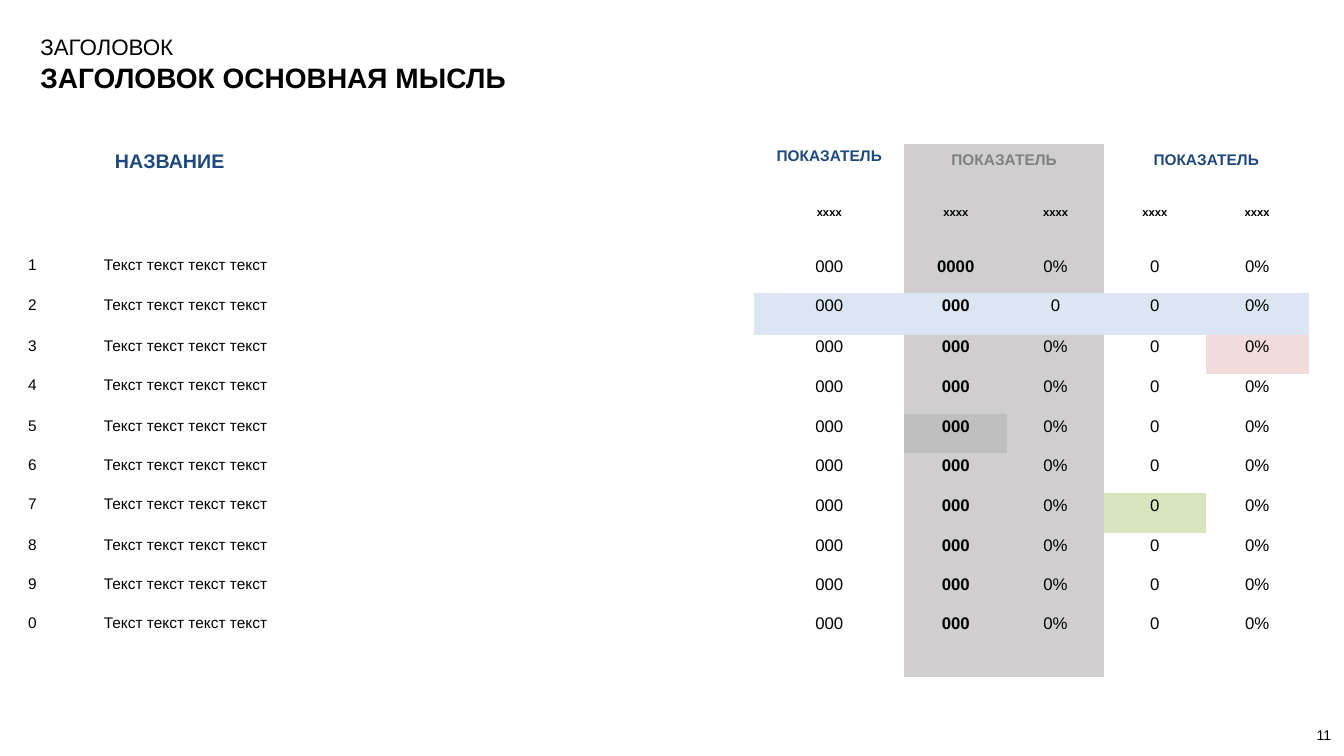
import dataclasses
import typing

import pptx
import pptx.dml.color
import pptx.enum.text
import pptx.oxml.ns
import pptx.util

RGBColor = pptx.dml.color.RGBColor
BLACK = RGBColor(0x00, 0x00, 0x00)
NAVY = RGBColor(0x1F, 0x49, 0x7D)
GRAY = RGBColor(0x80, 0x80, 0x80)
BAND = RGBColor(0xD0, 0xCE, 0xCE)
DARK_BAND = RGBColor(0xBF, 0xBF, 0xBF)
PALE_BLUE = RGBColor(0xDC, 0xE6, 0xF2)
PALE_RED = RGBColor(0xF2, 0xDC, 0xDB)
PALE_GREEN = RGBColor(0xD7, 0xE4, 0xBD)

EMU_PER_PX = 9144  # 100 px to the inch
FONT = "Arial"
PLAIN_TABLE_STYLE = "{2D5ABB26-0587-4C30-8999-92F81FD0307C}"
LEFT = pptx.enum.text.PP_ALIGN.LEFT
CENTER = pptx.enum.text.PP_ALIGN.CENTER

COLUMN_WIDTHS = (75, 648, 149, 102, 96, 101, 102)
ROW_HEIGHTS = (59, 50, 39, 41, 39, 40, 39, 39, 40, 39, 39, 65)
HEADER_ROWS = 2
FIRST_VALUE_COLUMN = 2
BAND_COLUMNS = (3, 4)
HIGHLIGHTED_ROW = 3
HIGHLIGHTED_CELLS = {(4, 6): PALE_RED, (6, 3): DARK_BAND, (8, 5): PALE_GREEN}

ROW_LABELS = "1234567890"
ROW_NAME = "Текст текст текст текст"
USUAL_VALUES = ("000", "000", "0%", "0", "0%")
SPECIAL_VALUES = {"1": ("000", "0000", "0%", "0", "0%"),
                  "2": ("000", "000", "0", "0", "0%")}


@dataclasses.dataclass(frozen=True)
class TextStyle:
    size: int
    bold: bool = False
    color: RGBColor = BLACK
    align: pptx.enum.text.PP_ALIGN = LEFT


@dataclasses.dataclass(frozen=True)
class Heading:
    text: str
    column: int
    style: TextStyle
    rows: int = 1
    columns: int = 1
    margins: tuple[int, int] = (14, 7)


HEADINGS = (
    Heading("", 0, TextStyle(14), rows=2),
    Heading("НАЗВАНИЕ", 1, TextStyle(14, True, NAVY), rows=2),
    Heading("ПОКАЗАТЕЛЬ", 2, TextStyle(11, True, NAVY, CENTER), margins=(3, 3)),
    Heading("ПОКАЗАТЕЛЬ", 3, TextStyle(11, True, GRAY, CENTER), columns=2),
    Heading("ПОКАЗАТЕЛЬ", 5, TextStyle(11, True, NAVY, CENTER), columns=2),
)
UNIT = TextStyle(8, True, align=CENTER)
LABEL = TextStyle(11)
VALUE = TextStyle(12, align=CENTER)
KEY_VALUE = TextStyle(12, True, align=CENTER)


def px(length: int) -> pptx.util.Emu:
    return pptx.util.Emu(length * EMU_PER_PX)


def place(shape: typing.Any, left: int, top: int, width: int, height: int) -> None:
    shape.left, shape.top = px(left), px(top)
    shape.width, shape.height = px(width), px(height)


def set_margins(holder: typing.Any, side: int, edge: int) -> None:
    holder.margin_left = holder.margin_right = px(side)
    holder.margin_top = holder.margin_bottom = px(edge)


def write(paragraph: typing.Any, text: str, style: TextStyle) -> None:
    paragraph.alignment = style.align
    run = paragraph.add_run()
    run.text = text
    run.font.name = FONT
    run.font.size = pptx.util.Pt(style.size)
    run.font.bold = style.bold
    run.font.color.rgb = style.color


def write_cell(cell: typing.Any, text: str, style: TextStyle,
               margins: tuple[int, int] = (3, 3)) -> None:
    set_margins(cell, *margins)
    if text:
        write(cell.text_frame.paragraphs[0], text, style)


def cell_color(row: int, column: int) -> RGBColor | None:
    if (row, column) in HIGHLIGHTED_CELLS:
        return HIGHLIGHTED_CELLS[row, column]
    if row == HIGHLIGHTED_ROW and column >= FIRST_VALUE_COLUMN:
        return PALE_BLUE
    return BAND if column in BAND_COLUMNS else None


def add_title(slide: typing.Any) -> None:
    title = slide.shapes.title
    place(title, 30, 23, 628, 81)
    frame = title.text_frame
    frame.word_wrap = True
    frame.auto_size = pptx.enum.text.MSO_AUTO_SIZE.NONE
    frame.vertical_anchor = pptx.enum.text.MSO_ANCHOR.TOP
    set_margins(frame, 10, 10)
    write(frame.paragraphs[0], "ЗАГОЛОВОК", TextStyle(16))
    write(frame.add_paragraph(), "ЗАГОЛОВОК ОСНОВНАЯ МЫСЛЬ", TextStyle(20, True))


def add_page_number(slide: typing.Any) -> None:
    page_number = slide.shapes.add_textbox(px(1298), px(709), px(34), px(41))
    frame = page_number.text_frame
    frame.word_wrap = True
    frame.vertical_anchor = pptx.enum.text.MSO_ANCHOR.MIDDLE
    set_margins(frame, 8, 4)
    write(frame.paragraphs[0], "11", TextStyle(10))


def add_indicators(slide: typing.Any) -> None:
    frame = slide.shapes.add_table(
        len(ROW_HEIGHTS), len(COLUMN_WIDTHS), px(25), px(143),
        px(sum(COLUMN_WIDTHS)), px(sum(ROW_HEIGHTS)))
    style_id = frame.element.find(".//" + pptx.oxml.ns.qn("a:tableStyleId"))
    style_id.text = PLAIN_TABLE_STYLE
    table = frame.table
    table.first_row = table.horz_banding = False

    # Grid and fills
    for column, width in zip(table.columns, COLUMN_WIDTHS):
        column.width = px(width)
    for row_index, height in enumerate(ROW_HEIGHTS):
        table.rows[row_index].height = px(height)
        for column_index in range(len(COLUMN_WIDTHS)):
            fill = table.cell(row_index, column_index).fill
            color = cell_color(row_index, column_index)
            if color is None:
                fill.background()
            else:
                fill.solid()
                fill.fore_color.rgb = color

    # Headings and units
    for heading in HEADINGS:
        cell = table.cell(0, heading.column)
        if heading.rows > 1 or heading.columns > 1:
            cell.merge(table.cell(heading.rows - 1,
                                  heading.column + heading.columns - 1))
        write_cell(cell, heading.text, heading.style, heading.margins)
    for column_index in range(FIRST_VALUE_COLUMN, len(COLUMN_WIDTHS)):
        write_cell(table.cell(1, column_index), "хххх", UNIT)

    # Data rows
    styles = (LABEL, LABEL, VALUE, KEY_VALUE, VALUE, VALUE, VALUE)
    for row_index, label in enumerate(ROW_LABELS, HEADER_ROWS):
        texts = (label, ROW_NAME, *SPECIAL_VALUES.get(label, USUAL_VALUES))
        for column_index, (text, style) in enumerate(zip(texts, styles)):
            write_cell(table.cell(row_index, column_index), text, style)


def main() -> None:
    presentation = pptx.Presentation()
    presentation.slide_width, presentation.slide_height = px(1333), px(750)
    slide = presentation.slides.add_slide(presentation.slide_layouts[5])
    add_title(slide)
    add_page_number(slide)
    add_indicators(slide)
    presentation.save("out.pptx")


if __name__ == "__main__":
    main()
